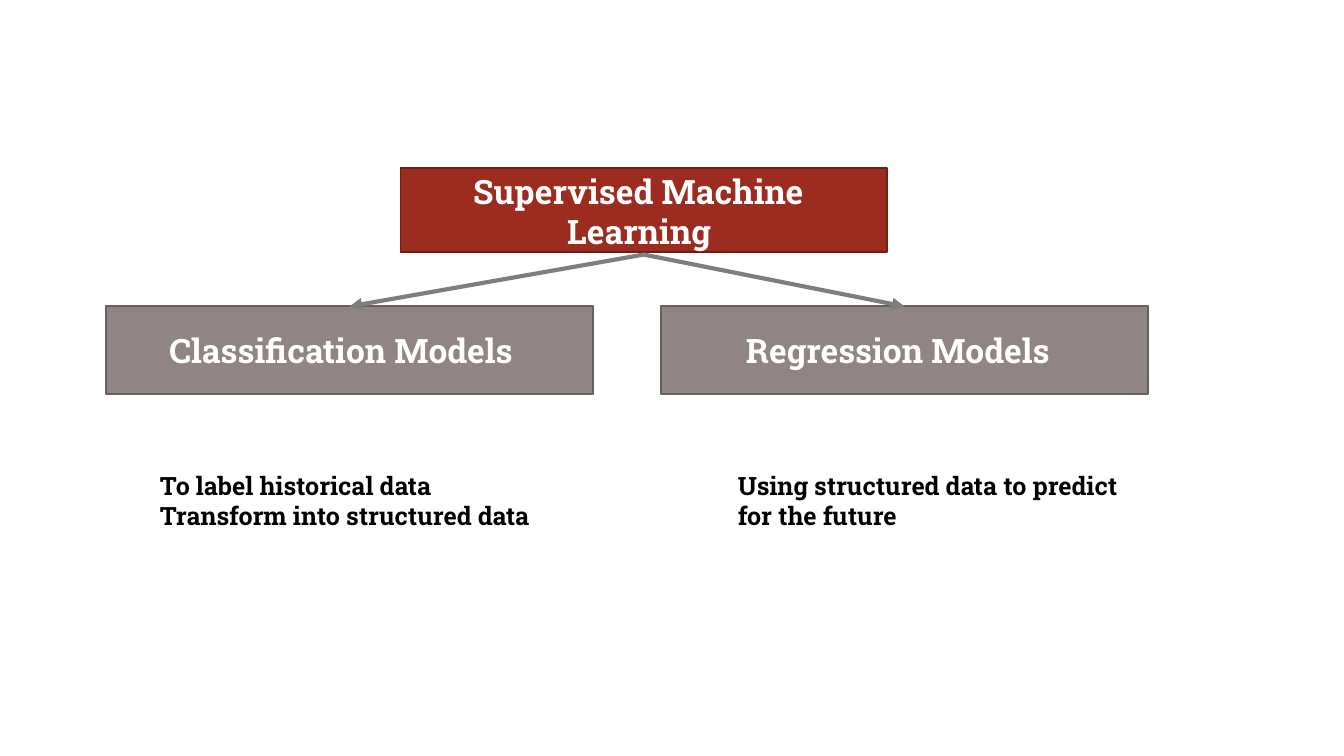
from pptx import Presentation
from pptx.dml.color import RGBColor
from pptx.enum.shapes import MSO_CONNECTOR, MSO_SHAPE
from pptx.enum.text import MSO_ANCHOR, MSO_AUTO_SIZE, PP_ALIGN
from pptx.oxml.ns import qn
from pptx.util import Pt
from lxml import etree

RECTANGLE = MSO_SHAPE.RECTANGLE
STRAIGHT = MSO_CONNECTOR.STRAIGHT
TOP, MIDDLE = MSO_ANCHOR.TOP, MSO_ANCHOR.MIDDLE
NO_FIT = MSO_AUTO_SIZE.NONE
LEFT = PP_ALIGN.LEFT

FONT = "Roboto Slab"
COLORS = {
    "title": "9B2C1F",
    "title_edge": "701E13",
    "model": "918485",
    "model_edge": "695F5F",
    "arrow": "7E7E7E",
    "light": "FFFFFF",
    "dark": "000000",
}
TITLE_BOX = (214.56, 90, 260.64, 45)
MODEL_TOP, MODEL_WIDTH, MODEL_HEIGHT = 164.16, 260.64, 46.8
MODELS = [
    {
        "left": 56.88,
        "label": ["Classification ", "Models"],
        "label_inset": 33.84,
        "note": ["To ", "label historical ", "data ", "Transform into structured ", "data"],
        "note_inset": 28.8,
        "note_width": 206.64,
    },
    {
        "left": 354.24,
        "label": ["Regression ", "Models"],
        "label_inset": 45.36,
        "note": ["Using structured data to ", "predict ", "for the ", "future"],
        "note_inset": 41.04,
        "note_width": 210.96,
    },
]


def color(name):
    """Return the named colour."""
    return RGBColor.from_string(COLORS[name])


def paint(shape, fill, edge):
    """Give a shape a solid fill and a thin outline."""
    shape.fill.solid()
    shape.fill.fore_color.rgb = color(fill)
    shape.line.color.rgb = color(edge)
    shape.line.width = Pt(1)


def write(frame, spans, size, ink, anchor=TOP, inset_left=0, inset_top=0):
    """Write one bold, left-aligned paragraph and return it."""
    frame.word_wrap = True
    frame.auto_size = NO_FIT
    frame.vertical_anchor = anchor
    frame.margin_left, frame.margin_top = Pt(inset_left), Pt(inset_top)
    frame.margin_right = frame.margin_bottom = Pt(0)
    para = frame.paragraphs[0]
    para.alignment = LEFT
    for text in spans:
        span = para.add_run()
        span.text = text
        span.font.name = FONT
        span.font.size = Pt(size)
        span.font.bold = True
        span.font.color.rgb = color(ink)
    return para


def add_title(page, box):
    """Place the title in its box with a hanging indent."""
    title = page.shapes.title
    title.left, title.top, title.width, title.height = map(Pt, box)
    paint(title, "title", "title_edge")
    para = write(title.text_frame, ["Supervised ", "Machine Learning"], 18, "light",
                 inset_top=1.44)
    para.space_before = Pt(1.2)
    properties = para._p.get_or_add_pPr()
    properties.set("marL", str(Pt(89.28)))
    properties.set("indent", str(Pt(-50.4)))


def add_model(page, model, box):
    """Place a model's labelled box and the note below it."""
    left, top, width, height = box
    panel = page.shapes.add_shape(RECTANGLE, *map(Pt, box))
    panel.shadow.inherit = False
    paint(panel, "model", "model_edge")
    write(panel.text_frame, model["label"], 18, "light", MIDDLE, model["label_inset"])
    note = page.shapes.add_textbox(
        Pt(left + model["note_inset"]), Pt(top + height + 40.32),
        Pt(model["note_width"]), Pt(33.12))
    para = write(note.text_frame, model["note"], 13.5, "dark", inset_top=0.72)
    para.space_before = Pt(0.8)


def add_arrow(page, start, end):
    """Draw an arrow between two points."""
    arrow = page.shapes.add_connector(STRAIGHT, *map(Pt, start + end))
    arrow.line.color.rgb = color("arrow")
    arrow.line.width = Pt(2.25)
    line = arrow.line._get_or_add_ln()
    etree.SubElement(line, qn("a:tailEnd"), type="triangle")
    etree.SubElement(arrow._element.spPr, qn("a:effectLst"))


def main():
    """Build the deck and save it."""
    deck = Presentation()
    deck.slide_width, deck.slide_height = Pt(720), Pt(405)
    page = deck.slides.add_slide(deck.slide_layouts[5])
    add_title(page, TITLE_BOX)
    left, top, width, height = TITLE_BOX
    fork = (left + width / 2, top + height + 1.4)
    for model in MODELS:
        add_model(page, model, (model["left"], MODEL_TOP, MODEL_WIDTH, MODEL_HEIGHT))
        add_arrow(page, fork, (model["left"] + MODEL_WIDTH / 2, MODEL_TOP))
    deck.save("out.pptx")


if __name__ == "__main__":
    main()
